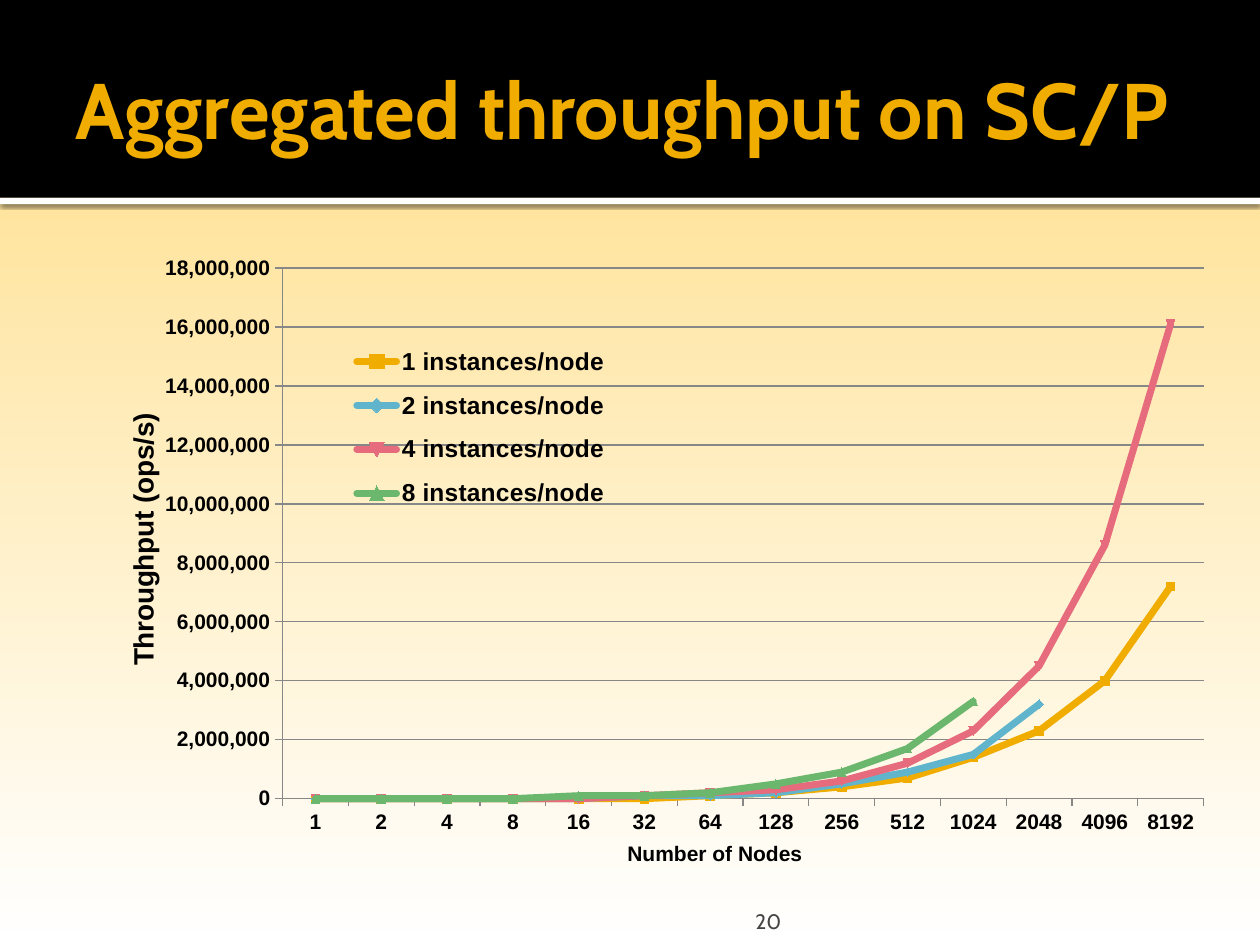
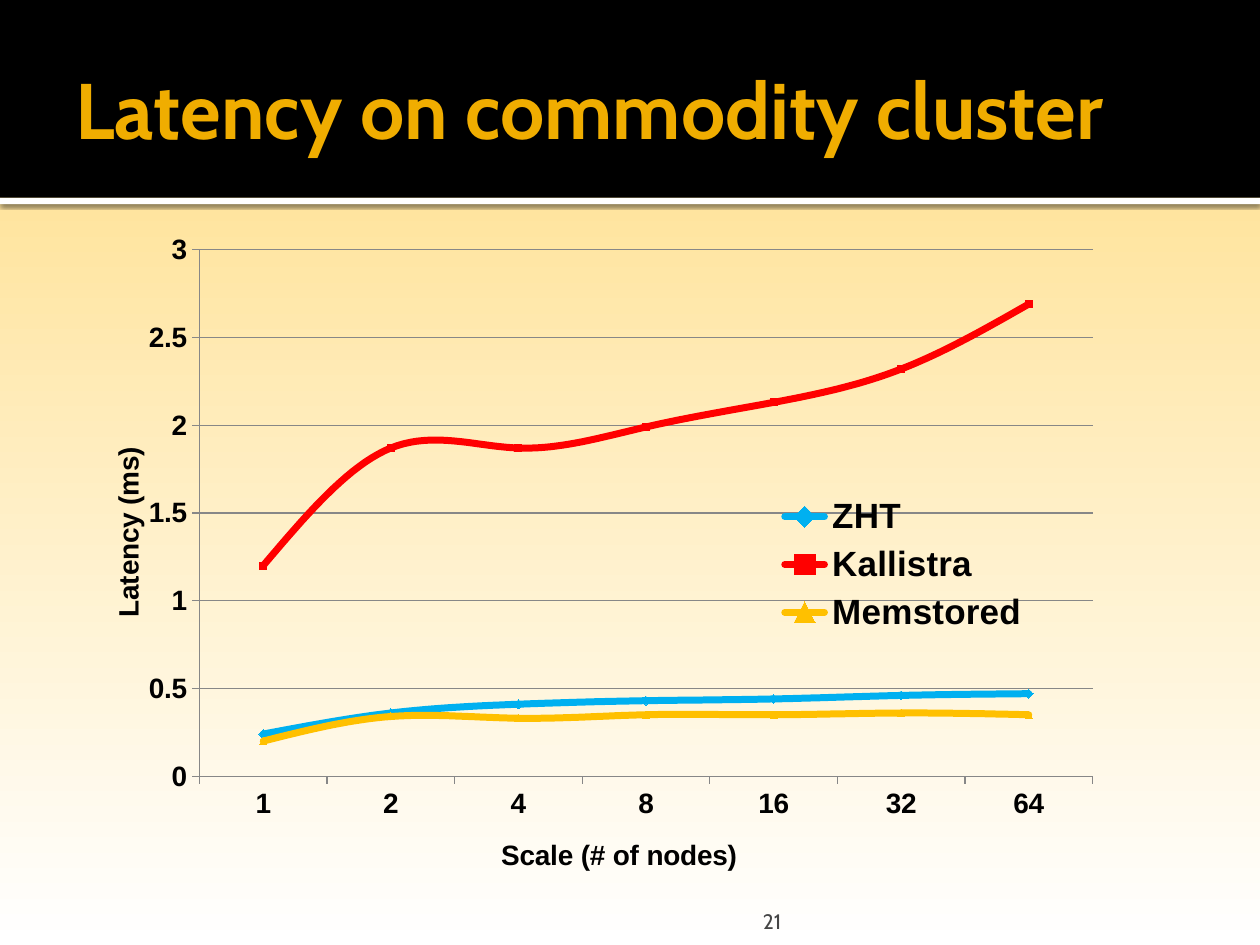
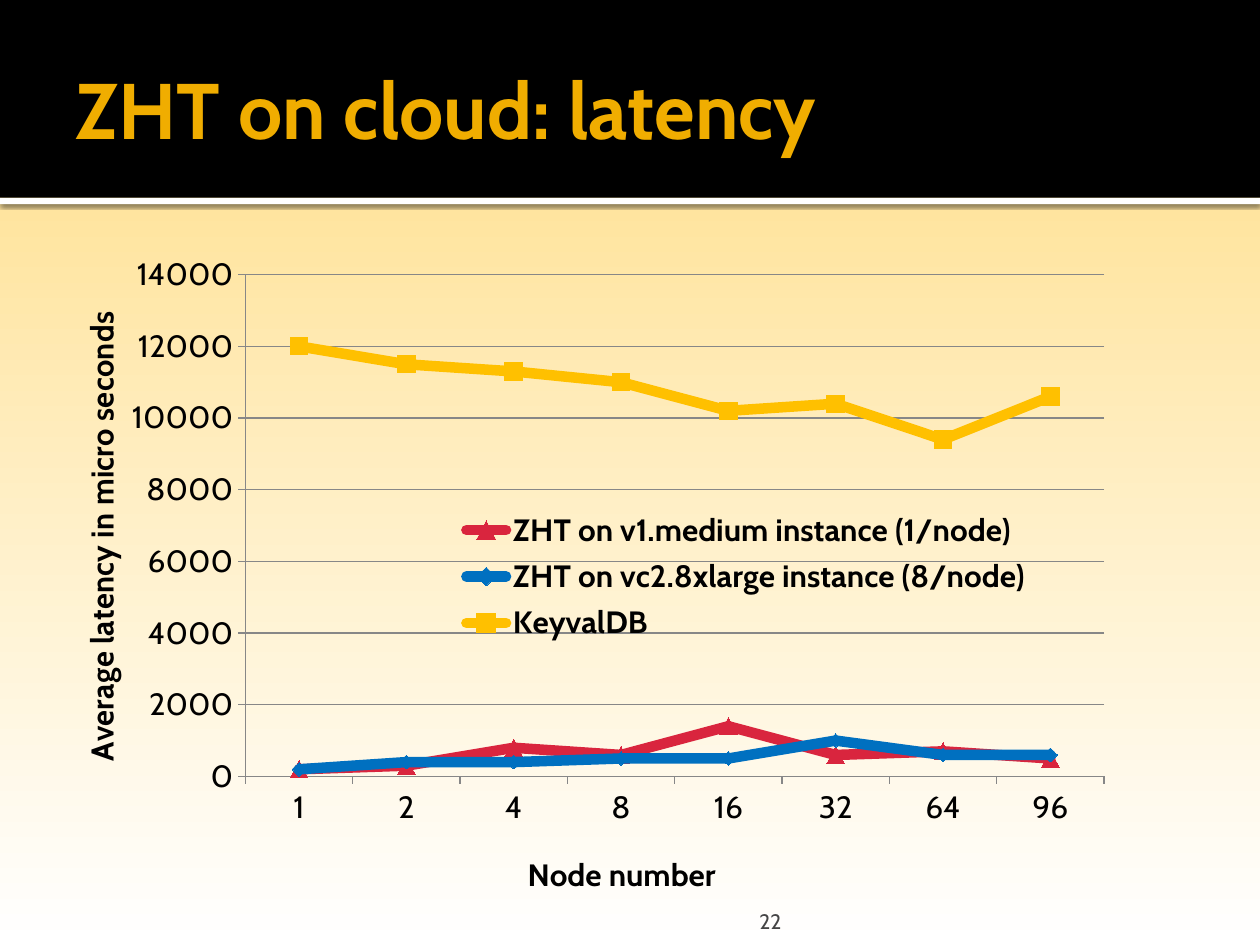
from lxml import etree
from pptx import Presentation
from pptx.chart.data import CategoryChartData
from pptx.dml.color import RGBColor
from pptx.enum.chart import XL_CHART_TYPE, XL_LEGEND_POSITION, XL_MARKER_STYLE, XL_TICK_MARK
from pptx.enum.shapes import MSO_SHAPE
from pptx.enum.text import MSO_ANCHOR, MSO_AUTO_SIZE, PP_ALIGN
from pptx.oxml import parse_xml
from pptx.oxml.ns import qn
from pptx.util import Inches, Pt

RECT = MSO_SHAPE.RECTANGLE
LINES = XL_CHART_TYPE.LINE_MARKERS
RIGHT = XL_LEGEND_POSITION.RIGHT
OUT, NONE = XL_TICK_MARK.OUTSIDE, XL_TICK_MARK.NONE
SQUARE, DIAMOND, TRIANGLE = (XL_MARKER_STYLE.SQUARE, XL_MARKER_STYLE.DIAMOND,
                             XL_MARKER_STYLE.TRIANGLE)
MIDDLE, BOTTOM = MSO_ANCHOR.MIDDLE, MSO_ANCHOR.BOTTOM
FIXED = MSO_AUTO_SIZE.NONE
ALIGN_L, ALIGN_R = PP_ALIGN.LEFT, PP_ALIGN.RIGHT

NS_A = 'xmlns:a="http://schemas.openxmlformats.org/drawingml/2006/main"'
NS_C = 'xmlns:c="http://schemas.openxmlformats.org/drawingml/2006/chart"'
BLACK, WHITE, GOLD, GREY, GRID = "000000", "FFFFFF", "F0AD00", "454545", "878787"
AMBER, SKY, RED, CRIMSON, BLUE = "FFC000", "00B0F0", "FF0000", "D9253E", "0070C0"
STOPS = [(0, AMBER), (12, "FFE193"), (100, WHITE)]


def color(text):
    return RGBColor.from_string(text)


def box(*sizes):
    return [Inches(size) for size in sizes]


def style(font, name, size, tint, bold=False):
    font.name, font.size, font.bold = name, Pt(size), bold
    font.color.rgb = color(tint)


def place(parent, index, spot, inner=False):
    for old in parent.findall(qn("c:layout")):
        parent.remove(old)
    parts = '<c:layoutTarget val="inner"/>' if inner else ""
    parts += '<c:xMode val="edge"/><c:yMode val="edge"/>'
    parts += "".join(f'<c:{key} val="{val}"/>' for key, val in zip("xywh", spot))
    parent.insert(index, parse_xml(
        f"<c:layout {NS_C}><c:manualLayout>{parts}</c:manualLayout></c:layout>"))


def clear():
    return parse_xml(f"<c:spPr {NS_C} {NS_A}><a:noFill/><a:ln><a:noFill/></a:ln></c:spPr>")


class Deck:
    """Holds the shared style and the slide being filled."""

    def __init__(self):
        self.file = Presentation()
        self.file.slide_width, self.file.slide_height = box(10, 7.5)
        self.layout = self.file.slide_layouts[5]
        self.slide = None
        self.backdrop()

    def backdrop(self):
        fill = self.layout.background.fill
        fill.gradient()
        fill.gradient_angle = 270
        stops = self.layout.element.find(".//" + qn("a:gsLst"))
        for old in list(stops):
            stops.remove(old)
        for spot, tint in STOPS:
            stop = etree.SubElement(stops, qn("a:gs"), pos=str(spot * 1000))
            etree.SubElement(stop, qn("a:srgbClr"), val=tint)

    def bands(self):
        line = self.band(1.57, 0.05, WHITE)
        line._element.spPr.find(qn("a:effectLst")).append(parse_xml(
            f'<a:outerShdw {NS_A} blurRad="31750" dist="10160" dir="5400000">'
            '<a:srgbClr val="000000"><a:alpha val="60000"/></a:srgbClr></a:outerShdw>'))
        tree = self.layout.shapes.element
        for index, shape in enumerate((line, self.band(0, 1.57, BLACK)), 2):
            tree.insert(index, shape._element)

    def band(self, top, height, tint):
        shape = self.slide.shapes.add_shape(RECT, *box(0, top, 10, height))
        shape.shadow.inherit = False
        shape.fill.solid()
        shape.fill.fore_color.rgb = color(tint)
        shape.line.fill.background()
        return shape

    def add(self, title, number):
        first = self.slide is None
        self.slide = self.file.slides.add_slide(self.layout)
        if first:
            self.bands()
        head = self.slide.shapes.title
        head.left, head.top, head.width, head.height = box(0.5, 0.17, 9, 1.37)
        self.label(head.text_frame, title, (0.1, 0.05, 0.05, 0.05), MIDDLE, ALIGN_L,
                   45, GOLD, True)
        foot = self.slide.shapes.add_textbox(*box(5.5, 7.11, 0.8, 0.3))
        self.label(foot.text_frame, str(number), (0.1, 0.05, 0.1, 0), BOTTOM, ALIGN_R,
                   12, GREY)

    def label(self, frame, text, insets, anchor, align, size, tint, bold=False):
        frame.text = text
        frame.word_wrap, frame.auto_size = True, FIXED
        (frame.margin_left, frame.margin_top,
         frame.margin_right, frame.margin_bottom) = box(*insets)
        frame.vertical_anchor = anchor
        para = frame.paragraphs[0]
        para.alignment = align
        style(para.font, "Cabin", size, tint, bold)

    def chart(self, area, cats, rows, plot, key, font, key_size, width, smooth=False,
              form="General"):
        data = CategoryChartData(number_format=form)
        data.categories = cats
        for name, vals, *_ in rows:
            data.add_series(name, vals + [None] * (len(cats) - len(vals)))
        chart = self.slide.shapes.add_chart(LINES, *box(*area), data).chart
        style(chart.font, *font)
        chart.has_title = False
        chart.plots[0].vary_by_categories = False
        space = chart._chartSpace
        frame = space.chart.plotArea
        place(frame, 0, plot, True)
        frame.append(clear())
        space.chart.addnext(clear())
        for line, (_, _, tint, *mark) in zip(chart.plots[0].series, rows):
            line.smooth = smooth
            line.format.line.width = Pt(width)
            line.format.line.color.rgb = color(tint)
            line.format.line._get_or_add_ln().set("cap", "rnd")
            look = line.marker
            if mark:
                look.style, look.size = mark[:2]
            look.format.fill.solid()
            look.format.fill.fore_color.rgb = color(mark[2] if mark[2:] else tint)
            look.format.line.fill.background()
        chart.has_legend = True
        legend = chart.legend
        legend.position, legend.include_in_layout = RIGHT, False
        style(legend.font, font[0], key_size, BLACK, True)
        place(legend._element, 1, key)
        return chart

    def axis(self, axis, title, spot, font, size, turn=0):
        axis.major_tick_mark, axis.minor_tick_mark = OUT, NONE
        axis.format.line.color.rgb = color(GRID)
        frame = axis.axis_title.text_frame
        frame.text = title
        style(frame.paragraphs[0].font, font, size, BLACK, True)
        frame._txBody.bodyPr.set("rot", str(turn * 60000))
        place(axis.axis_title._element, 1, spot)

    def scale(self, axis, top, step, form="General"):
        axis.minimum_scale, axis.maximum_scale, axis.major_unit = 0, top, step
        axis.has_major_gridlines = True
        axis.major_gridlines.format.line.color.rgb = color(GRID)
        axis.tick_labels.number_format = form
        axis.tick_labels.number_format_is_linked = False


def rate(deck):
    deck.add("Aggregated throughput on SC/P", 20)
    low = [0] * 4
    rows = [
        ("1 instances/node", low + [0, 0, 100000, 200000, 400000, 700000, 1400000,
                                    2300000, 4000000, 7200000], GOLD),
        ("2 instances/node", low + [0, 100000, 100000, 200000, 500000, 900000, 1500000,
                                    3200000], "60B5CC"),
        ("4 instances/node", low + [0, 100000, 200000, 300000, 600000, 1200000, 2300000,
                                    4500000, 8600000, 16100000], "E66C7D"),
        ("8 instances/node", low + [100000, 100000, 200000, 500000, 900000, 1700000,
                                    3300000], "6BB76D"),
    ]
    chart = deck.chart((0.5, 1.92, 9.08, 5.08), [str(2 ** n) for n in range(14)], rows,
                       (0.192, 0.041, 0.805, 0.829), (0.25, 0.14, 0.23, 0.3),
                       ("Arial", 12, BLACK, True), 14, 4, form="#,##0")
    deck.axis(chart.category_axis, "Number of Nodes", (0.49, 0.93), "Arial", 12)
    deck.axis(chart.value_axis, "Throughput (ops/s)", (0.05, 0.26), "Arial", 16, -90)
    deck.scale(chart.value_axis, 18000000, 2000000, "#,##0")


def cluster(deck):
    deck.add("Latency on commodity cluster", 21)
    rows = [
        ("ZHT", [0.24, 0.36, 0.41, 0.43, 0.44, 0.46, 0.47], SKY, DIAMOND, 5),
        ("Kallistra", [1.2, 1.87, 1.87, 1.99, 2.13, 2.32, 2.69], RED, SQUARE, 4),
        ("Memstored", [0.2, 0.34, 0.33, 0.35, 0.35, 0.36, 0.35], AMBER, TRIANGLE, 4),
    ]
    chart = deck.chart((0.75, 1.83, 8.5, 5.25), [str(2 ** n) for n in range(7)], rows,
                       (0.098, 0.029, 0.834, 0.796), (0.63, 0.39, 0.25, 0.23),
                       ("Arial", 16, BLACK, True), 20, 4, smooth=True)
    deck.axis(chart.category_axis, "Scale (# of nodes)", (0.375, 0.91), "Arial", 16)
    deck.axis(chart.value_axis, "Latency (ms)", (0.01, 0.32), "Arial", 16, -90)
    deck.scale(chart.value_axis, 3, 0.5)


def cloud(deck):
    deck.add("ZHT on cloud: latency", 22)
    rows = [
        ("ZHT on v1.medium instance (1/node)",
         [200, 300, 800, 600, 1400, 600, 700, 500], CRIMSON, TRIANGLE, 10),
        ("ZHT on vc2.8xlarge instance (8/node)",
         [200, 400, 400, 500, 500, 1000, 600, 600], BLUE, DIAMOND, 8),
        ("KeyvalDB", [12000, 11500, 11300, 11000, 10200, 10400, 9400, 10600],
         AMBER, SQUARE, 10, GOLD),
    ]
    cats = [str(2 ** n) for n in range(7)] + ["96"]
    chart = deck.chart((0.5, 1.94, 8.67, 5.23), cats, rows,
                       (0.167, 0.047, 0.786, 0.778), (0.36, 0.4, 0.53, 0.23),
                       ("Cabin", 18, BLACK), 18, 6)
    deck.axis(chart.category_axis, "Node number", (0.42, 0.935), "Cabin", 18)
    deck.axis(chart.value_axis, "Average latency in micro seconds", (0.01, 0.11),
              "Cabin", 18, -90)
    deck.scale(chart.value_axis, 14000, 2000)


def main():
    deck = Deck()
    for build in (rate, cluster, cloud):
        build(deck)
    deck.file.save("out.pptx")


if __name__ == "__main__":
    main()
